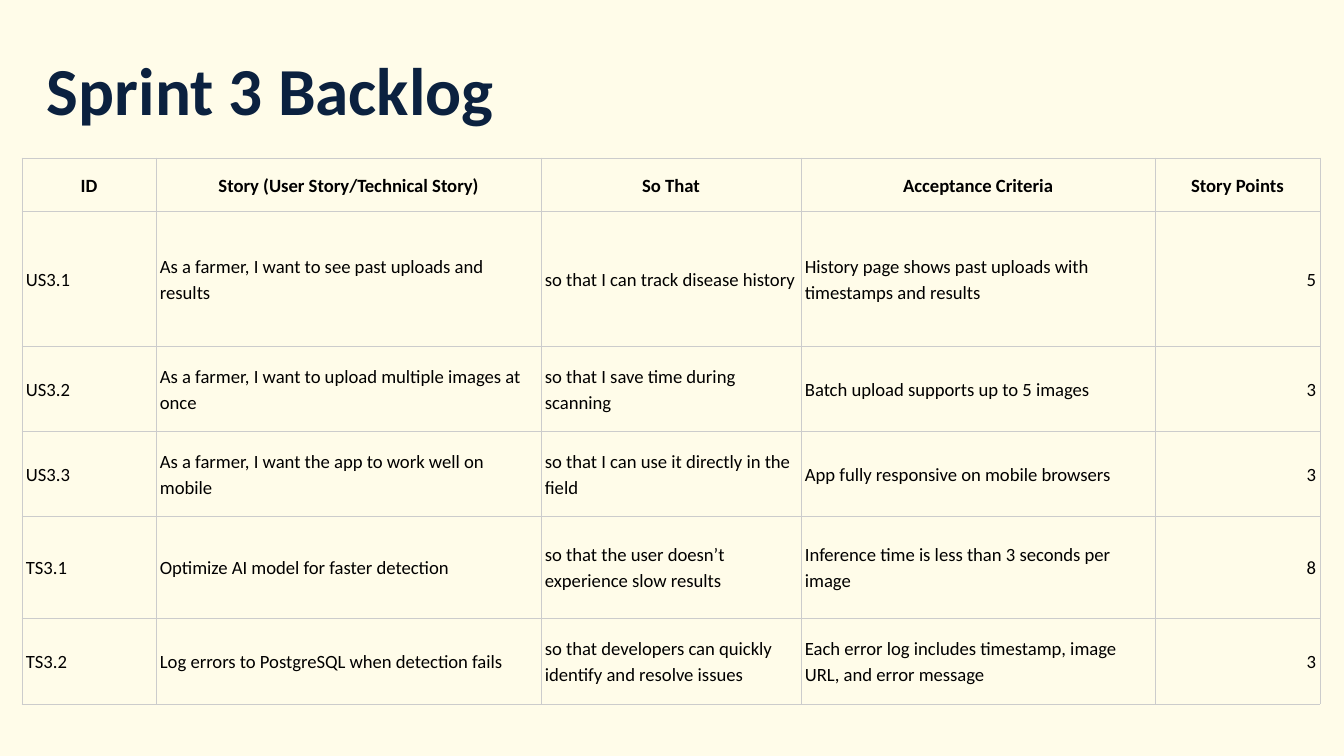
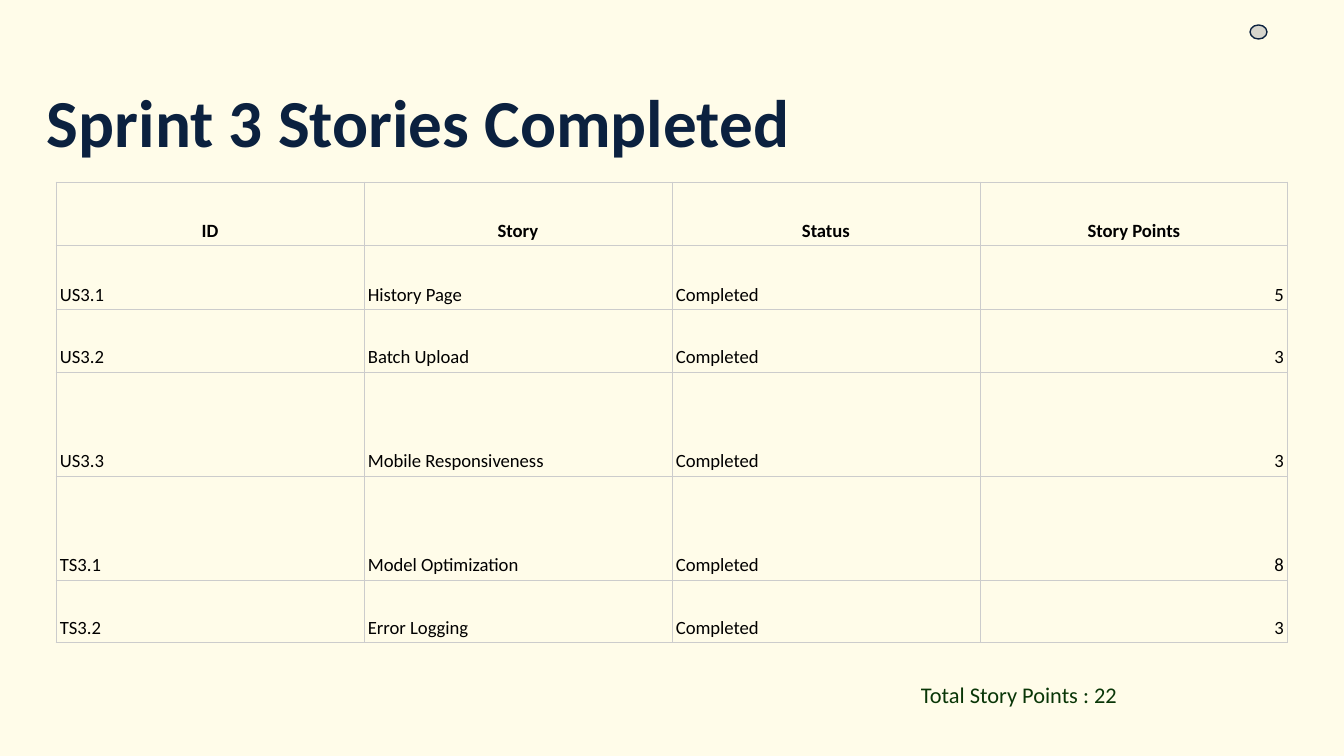
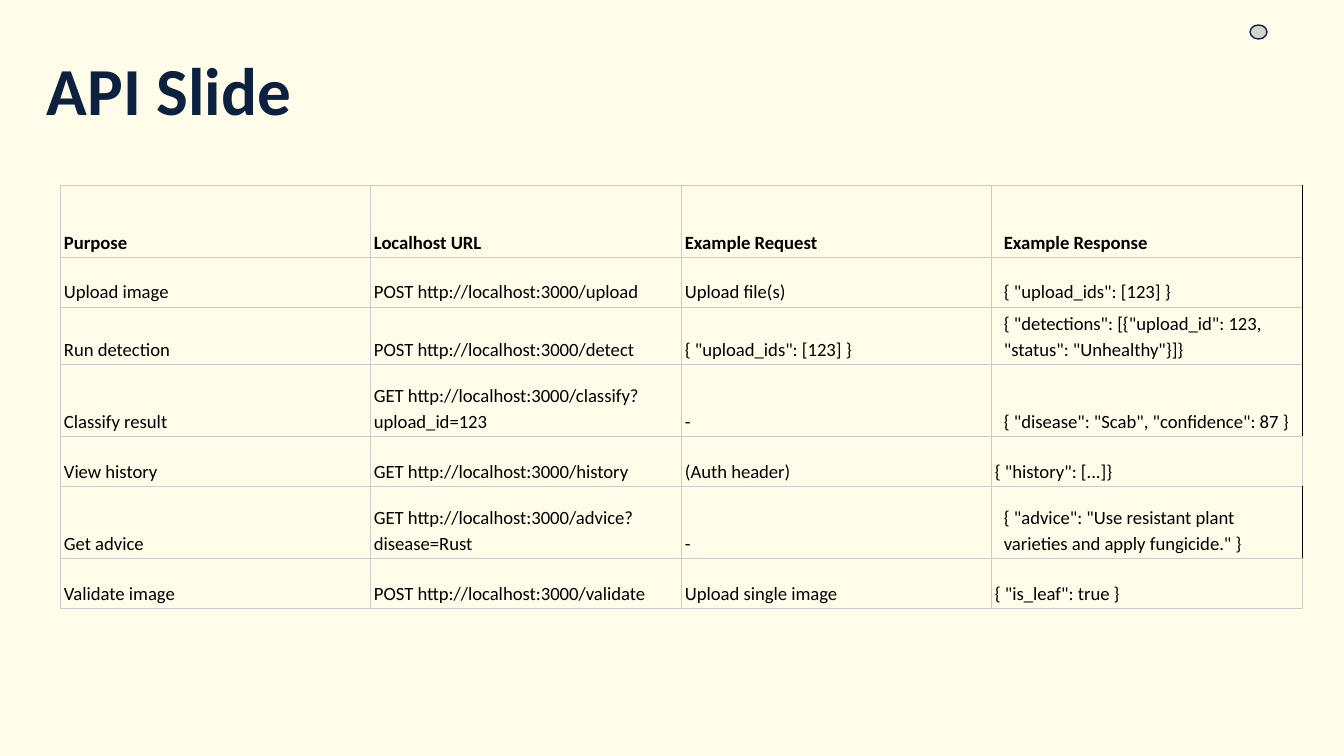
import lxml.etree
import pptx
import pptx.dml.color
import pptx.enum.shapes
import pptx.enum.text
import pptx.oxml.ns
import pptx.util

SCALE = 914400 / 134.4
FONT = "Calibri"
COLORS = {
    "cream": "FFFCE9",
    "navy": "0B213F",
    "black": "000000",
    "rule": "CCCCCC",
    "green": "093607",
    "dot": "D6D5CD",
}
ALIGN = pptx.enum.text.PP_ALIGN
ANCHOR = pptx.enum.text.MSO_ANCHOR
PAD = 13

BACKLOG = [
    ["ID", "Story (User Story/Technical Story)", "So That",
     "Acceptance Criteria", "Story Points"],
    ["US3.1", "As a farmer, I want to see past uploads and results",
     "so that I can track disease history",
     "History page shows past uploads with timestamps and results", "5"],
    ["US3.2", "As a farmer, I want to upload multiple images at once",
     "so that I save time during scanning",
     "Batch upload supports up to 5 images", "3"],
    ["US3.3", "As a farmer, I want the app to work well on mobile",
     "so that I can use it directly in the field",
     "App fully responsive on mobile browsers", "3"],
    ["TS3.1", "Optimize AI model for faster detection",
     "so that the user doesn’t experience slow results",
     "Inference time is less than 3 seconds per image", "8"],
    ["TS3.2", "Log errors to PostgreSQL when detection fails",
     "so that developers can quickly identify and resolve issues",
     "Each error log includes timestamp, image URL, and error message", "3"],
]

STORIES = [
    ["ID", "Story", "Status", "Story Points"],
    ["US3.1", "History Page", "Completed", "5"],
    ["US3.2", "Batch Upload", "Completed", "3"],
    ["US3.3", "Mobile Responsiveness", "Completed", "3"],
    ["TS3.1", "Model Optimization", "Completed", "8"],
    ["TS3.2", "Error Logging", "Completed", "3"],
]

CALLS = [
    ["Purpose", "Localhost URL", "Example Request", "Example Response"],
    ["Upload image", "POST http://localhost:3000/upload", "Upload file(s)",
     '{ "upload_ids": [123] }'],
    ["Run detection", "POST http://localhost:3000/detect",
     '{ "upload_ids": [123] }',
     '{ "detections": [{"upload_id": 123, "status": "Unhealthy"}]}'],
    ["Classify result", "GET http://localhost:3000/classify?upload_id=123",
     "-", '{ "disease": "Scab", "confidence": 87 }'],
    ["View history", "GET http://localhost:3000/history", "(Auth header)",
     '{ "history": [...]}'],
    ["Get advice", "GET http://localhost:3000/advice?disease=Rust", "-",
     '{ "advice": "Use resistant plant varieties and apply fungicide." }'],
    ["Validate image", "POST http://localhost:3000/validate",
     "Upload single image", '{ "is_leaf": true }'],
]
WIDE_ROWS = {0, 1, 2, 3, 5}


def px(count):
    return pptx.util.Emu(round(count * SCALE))


def rgb(name):
    return pptx.dml.color.RGBColor.from_string(COLORS[name])


def write(frame, text, size=10, color="black", bold=False, align=ALIGN.LEFT,
          space=None):
    para = frame.paragraphs[0]
    para.alignment = align
    para.line_spacing = space
    run = para.add_run()
    run.text = text
    font = run.font
    font.name = FONT
    font.size = pptx.util.Pt(size)
    font.bold = bold
    font.color.rgb = rgb(color)


def add_label(slide, text, left, top, width, height, **style):
    frame = slide.shapes.add_textbox(
        px(left), px(top), px(width), px(height)).text_frame
    frame.word_wrap = True
    frame.margin_left = frame.margin_right = px(PAD)
    frame.margin_top = frame.margin_bottom = px(PAD)
    write(frame, text, **style)


def add_page(deck, title, top=35):
    slide = deck.slides.add_slide(deck.slide_layouts[6])
    fill = slide.background.fill
    fill.solid()
    fill.fore_color.rgb = rgb("cream")
    add_label(slide, title, 34, top, 1231, 65,
              size=36, color="navy", bold=True)
    return slide


def add_dot(slide):
    dot = slide.shapes.add_shape(
        pptx.enum.shapes.MSO_SHAPE.OVAL, px(1250), px(25), px(17), px(14))
    dot.shadow.inherit = False
    dot.fill.solid()
    dot.fill.fore_color.rgb = rgb("dot")
    dot.line.color.rgb = rgb("navy")
    dot.line.width = pptx.util.Pt(0.75)


def set_edges(cell, right="rule"):
    name = pptx.oxml.ns.qn
    props = cell._tc.get_or_add_tcPr()
    edges = {"L": "rule", "R": right, "T": "rule", "B": "rule"}
    for side, color in edges.items():
        edge = lxml.etree.SubElement(
            props, name("a:ln" + side), w=str(pptx.util.Pt(0.42)))
        fill = lxml.etree.SubElement(edge, name("a:solidFill"))
        lxml.etree.SubElement(fill, name("a:srgbClr"), val=COLORS[color])


def fill_cell(cell, text, anchor, wide=False, **style):
    set_edges(cell, "black" if wide else "rule")
    cell.fill.background()
    cell.vertical_anchor = anchor
    cell.margin_left = cell.margin_right = px(PAD if wide else 4)
    cell.margin_top = cell.margin_bottom = px(3)
    write(cell.text_frame, text, space=1.15, **style)


def add_grid(slide, data, left, top, widths, heights, anchor=ANCHOR.BOTTOM,
             points=True, wide=()):
    table = slide.shapes.add_table(
        len(heights), len(widths), px(left), px(top),
        px(sum(widths)), px(sum(heights))).table
    table.first_row = table.horz_banding = False
    for column, width in zip(table.columns, widths):
        column.width = px(width)
    last = len(widths) - 1
    for r, (line, height) in enumerate(zip(data, heights)):
        table.rows[r].height = px(height)
        for c, text in enumerate(line):
            align = ALIGN.LEFT
            if points and r == 0:
                align = ALIGN.CENTER
            elif points and c == last:
                align = ALIGN.RIGHT
            fill_cell(table.cell(r, c), text, anchor,
                      wide=c == last and r in wide, bold=r == 0, align=align)


def main():
    deck = pptx.Presentation()
    deck.slide_width, deck.slide_height = px(1344), px(756)

    slide = add_page(deck, "Sprint 3 Backlog")
    add_grid(slide, BACKLOG, 22, 158, [134, 385, 260, 354, 165],
             [53, 135, 85, 85, 102, 86], anchor=ANCHOR.MIDDLE)

    slide = add_page(deck, "Sprint 3 Stories Completed", top=67)
    add_grid(slide, STORIES, 56, 182, [308] * 4, [63, 64, 63, 104, 104, 63])
    add_label(slide, "Total Story Points : 22", 908, 668, 383, 65,
              size=12, color="green")
    add_dot(slide)

    slide = add_page(deck, "API Slide")
    add_grid(slide, CALLS, 60, 185, [310, 311, 310, 311],
             [72, 50, 50, 72, 50, 72, 50], points=False, wide=WIDE_ROWS)
    add_dot(slide)

    deck.save("out.pptx")


if __name__ == "__main__":
    main()
